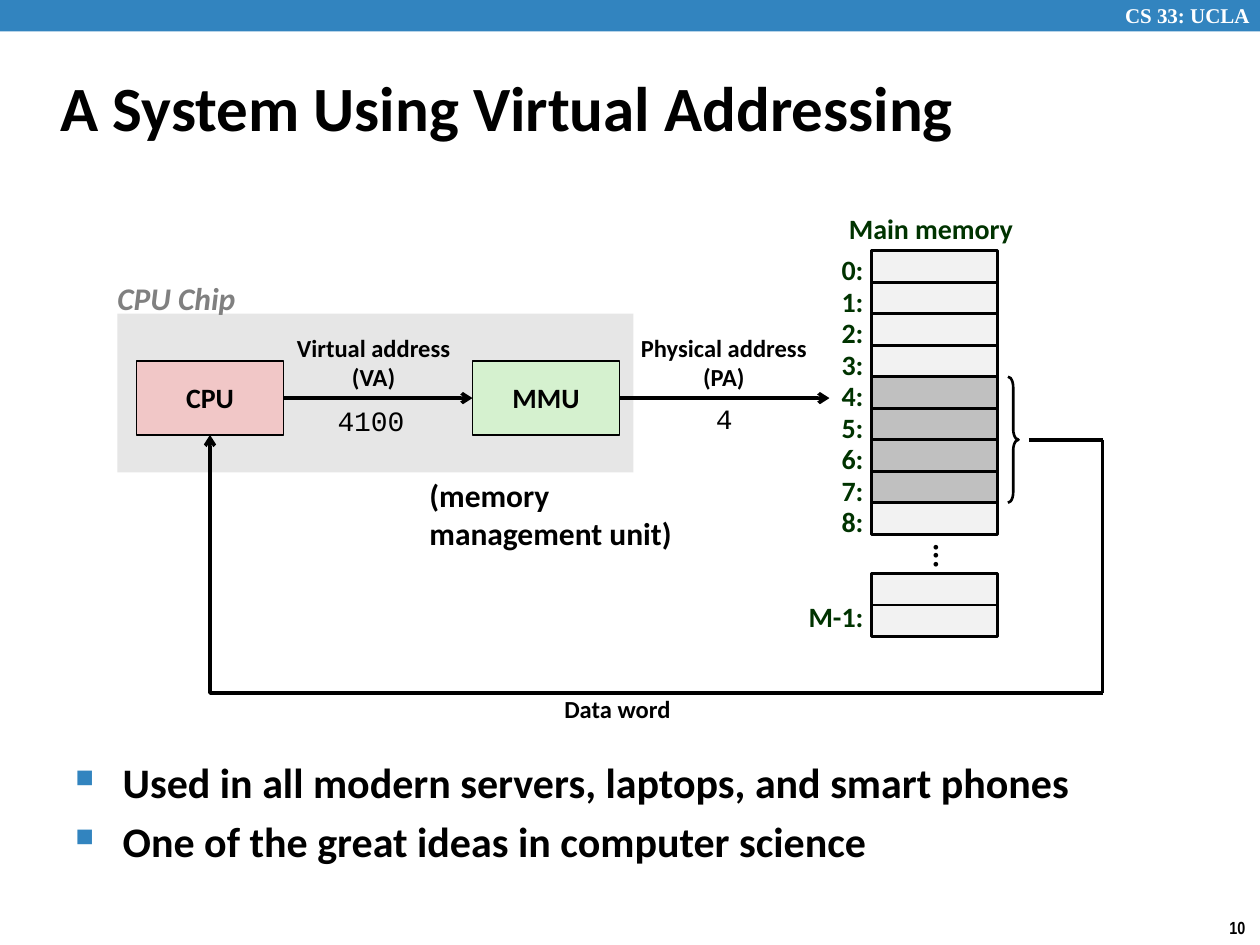
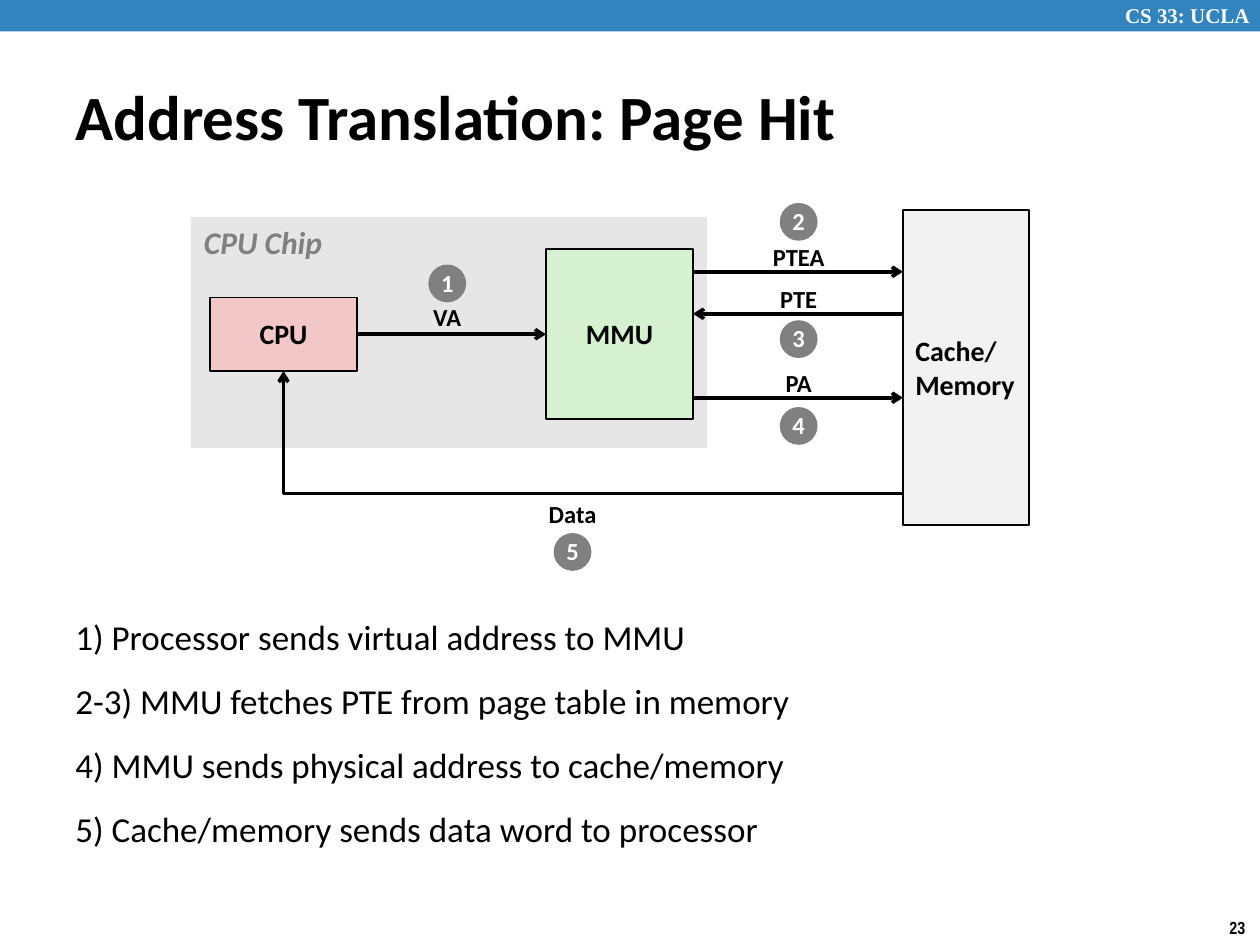
from lxml.etree import SubElement as Sub
from pptx import Presentation
from pptx.dml.color import RGBColor
from pptx.enum.shapes import MSO_CONNECTOR as Link, MSO_SHAPE as Form
from pptx.enum.text import MSO_ANCHOR as Anchor, PP_ALIGN as Align
from pptx.oxml.ns import qn
from pptx.util import Pt

BLUE, BLACK, WHITE = "3284BF", "000000", "FFFFFF"
PINK, MINT, GREEN = "F1C7C7", "D5F1CF", "003300"
PALE, BAND, SHADE, GRAY = "F2F2F2", "E6E6E6", "C0C0C0", "808080"
ROW = 18  # height of a memory cell


def color(code):
    return RGBColor.from_string(code)


def put(shape, text, size=14, font="Calibri", ink=BLACK, bold=True,
        slant=False, align=Align.CENTER, anchor=Anchor.MIDDLE, wrap=False,
        lead=None, gap=0, mark=None):
    """Write the lines of text into a shape."""
    frame = shape.text_frame
    frame.word_wrap = wrap
    frame.vertical_anchor = anchor
    for i, line in enumerate(text.split("\n")):
        para = frame.add_paragraph() if i else frame.paragraphs[0]
        para.alignment = align
        if lead:
            para.line_spacing = lead
        if i and gap:
            para.space_before = Pt(gap)
        if mark:
            bullet(para, mark)
        run = para.add_run()
        run.text = line
        face = run.font
        face.name, face.size = font, Pt(size)
        face.bold, face.italic = bold, slant
        face.color.rgb = color(ink)
    return shape


def bullet(para, mark):
    props = para._p.get_or_add_pPr()
    props.set("marL", str(Pt(27)))
    props.set("indent", str(-Pt(27)))
    Sub(Sub(props, qn("a:buClr")), qn("a:srgbClr")).set("val", BLUE)
    Sub(props, qn("a:buSzPct")).set("val", "60000")
    Sub(props, qn("a:buChar")).set("char", mark)


def label(slide, text, x, y, w, h, **style):
    area = slide.shapes.add_textbox(Pt(x), Pt(y), Pt(w), Pt(h))
    return put(area, text, **style)


def left(slide, text, x, y, w, h, **style):
    """Label that starts at the top left of its box."""
    style = {"align": Align.LEFT, "anchor": Anchor.TOP, **style}
    return label(slide, text, x, y, w, h, **style)


def block(slide, x, y, w, h, fill=None, line=None, form=Form.RECTANGLE):
    shape = slide.shapes.add_shape(form, Pt(x), Pt(y), Pt(w), Pt(h))
    shape.shadow.inherit = False
    if fill:
        shape.fill.solid()
        shape.fill.fore_color.rgb = color(fill)
    else:
        shape.fill.background()
    if line:
        shape.line.color.rgb = color(BLACK)
        shape.line.width = Pt(line)
    else:
        shape.line.fill.background()
    return shape


def wire(slide, x1, y1, x2, y2, head=True, kind=Link.STRAIGHT):
    line = slide.shapes.add_connector(kind, Pt(x1), Pt(y1), Pt(x2), Pt(y2))
    line.line.color.rgb = color(BLACK)
    line.line.width = Pt(2)
    if head:
        Sub(line.line._get_or_add_ln(), qn("a:tailEnd")).set("type", "arrow")
    Sub(line._element.spPr, qn("a:effectLst"))
    return line


def elbow(slide, x1, y1, x2, y2):
    """Arrow that runs left from its start, then up to its end."""
    line = wire(slide, x2, y2, x1, y1, kind=Link.ELBOW)
    props = line._element.spPr
    props.find(qn("a:xfrm")).set("rot", "10800000")
    props.find(qn("a:prstGeom")).set("prst", "bentConnector2")


def base(deck, title, x, y, number):
    """Blank slide with the top band, title and page number."""
    slide = deck.slides.add_slide(deck.slide_layouts[6])
    block(slide, 0, 0, 720, 18, BLUE)
    left(slide, "CS 33: UCLA", 635.8, -2, 89.3, 21.6, size=12,
         font="Times New Roman", ink=WHITE, wrap=True)
    left(slide, number, 695.5, 520.6, 24.5, 19.4, size=10,
         font="Arial Narrow")
    left(slide, title, x, y, 686, 62, size=36, anchor=Anchor.MIDDLE,
         wrap=True)
    return slide


def chip(slide, x, y, h, tag, cpu_y, mmu_y, mmu_h):
    """CPU chip: both units and the arrow between them."""
    block(slide, x, y, 295, h, BAND)
    left(slide, "CPU Chip", x + tag[0], y + tag[1], 83.5, 29, size=18,
         ink=GRAY, slant=True)
    cpu = block(slide, x + 11, y + cpu_y, 84, 42, PINK, 1)
    mmu = block(slide, x + 203, y + mmu_y, 84, mmu_h, MINT, 1)
    for unit, name in ((cpu, "CPU"), (mmu, "MMU")):
        put(unit, name, size=16, lead=0.98)
    arrow = wire(slide, 0, 0, 1, 1)
    arrow.begin_connect(cpu, 3)
    arrow.end_connect(mmu, 1)
    return mmu


def memory(slide, x, y):
    """Main memory with its addresses and the fetched word."""
    style = {"size": 16, "ink": GREEN, "lead": 0.88, "anchor": Anchor.TOP}

    def address(text, top):
        label(slide, text, x - 58, top, 60.5, 24, align=Align.RIGHT, **style)

    label(slide, "Main memory", x - 26, y - 23.4, 120, 24, **style)
    for i in range(9):
        top = y + i * ROW
        block(slide, x, top, 72, ROW, SHADE if 4 <= i < 8 else PALE, 1.5)
        address(f"{i}:", top)
    dots = label(slide, "...", x + 6, y + 9 * ROW - 2, 72, ROW, size=18,
                 lead=0.98)
    dots.text_frame._txBody.bodyPr.set("vert", "eaVert")
    # Last cells
    end = y + 184.5
    for i in range(2):
        block(slide, x, end + i * ROW, 72, ROW, PALE, 1.5)
    address("M-1:", end + 13.5)
    # Word of four cells
    brace = block(slide, x + 78, y + 4 * ROW, 6, 4 * ROW, line=1.5,
                  form=Form.RIGHT_BRACE)
    brace.adjustments[0] = 1


def virtual(deck):
    slide = base(deck, "A System Using Virtual Addressing", 27.4, 30, "10")
    mmu = chip(slide, 67, 179.3, 90.7, (-7, -23.6), 27.2, 27.2, 42)
    memory(slide, 498, 143.3)
    # Physical address arrow
    arrow = wire(slide, 354, 227.5, 474, 227.5)
    arrow.begin_connect(mmu, 3)
    # Way back to the CPU
    wire(slide, 588, 251.3, 630, 251.3, head=False)
    wire(slide, 630, 251.3, 630, 396, head=False)
    elbow(slide, 630, 396, 120, 248.5)
    # Captions
    for text, x, y, w, h in (("Virtual address\n(VA)", 162, 187, 103, 41),
                             ("Physical address\n(PA)", 358.6, 187, 110, 41),
                             ("Data word", 315, 393.6, 75.6, 24)):
        label(slide, text, x, y, w, h, lead=0.98)
    for text, x, y, w in (("4100", 185.8, 227, 53.3), ("4", 402, 226, 24.5)):
        left(slide, text, x, y, w, 26.6, size=16, font="Courier New",
             bold=False)
    left(slide, "(memory management unit)", 238.3, 268.6, 160, 51, size=18,
         wrap=True)
    left(slide, "Used in all modern servers, laptops, and smart phones\n"
         "One of the great ideas in computer science", 36, 428.8, 654.5, 99,
         size=24, gap=4.8, mark="■", wrap=True)


def hit(deck):
    slide = base(deck, "Address Translation: Page Hit", 36, 34.6, "23")
    chip(slide, 109, 124, 132, (0.5, 0), 46, 18.5, 97)
    store = block(slide, 516, 120, 72, 180, PALE, 1.5)
    put(store, "Cache/\nMemory", size=16, align=Align.LEFT)
    # Traffic between MMU and memory
    near, far = 396, 516
    for x1, x2, y in ((near, far, 155.3), (far, near, 179.3),
                      (near, far, 227.3)):
        wire(slide, x1, y, x2, y)
    elbow(slide, far, 282, 162, 212)
    # Numbered steps: caption, its top, centre, top of the badge
    steps = (("VA", 169.6, 255.6, 151.2), ("PTEA", 135.4, 456.4, 116),
             ("PTE", 159.2, 456.4, 183), ("PA", 207.4, 456.4, 232.6),
             ("Data", 282.2, 327.2, 304.6))
    for i, (text, y, mid, top) in enumerate(steps, 1):
        label(slide, text, mid - 25, y, 50, 24, lead=0.98)
        badge = block(slide, mid - 10.8, top, 21.6, 21.6, GRAY,
                      form=Form.OVAL)
        put(badge, str(i), ink=WHITE, lead=0.98)
    left(slide, "1) Processor sends virtual address to MMU\n"
         "2-3) MMU fetches PTE from page table in memory\n"
         "4) MMU sends physical address to cache/memory\n"
         "5) Cache/memory sends data word to processor", 36, 348.2, 534, 162,
         size=20, bold=False, gap=12.5, wrap=True)


def main():
    deck = Presentation()
    deck.slide_width, deck.slide_height = Pt(720), Pt(540)
    virtual(deck)
    hit(deck)
    deck.save("out.pptx")


if __name__ == "__main__":
    main()
